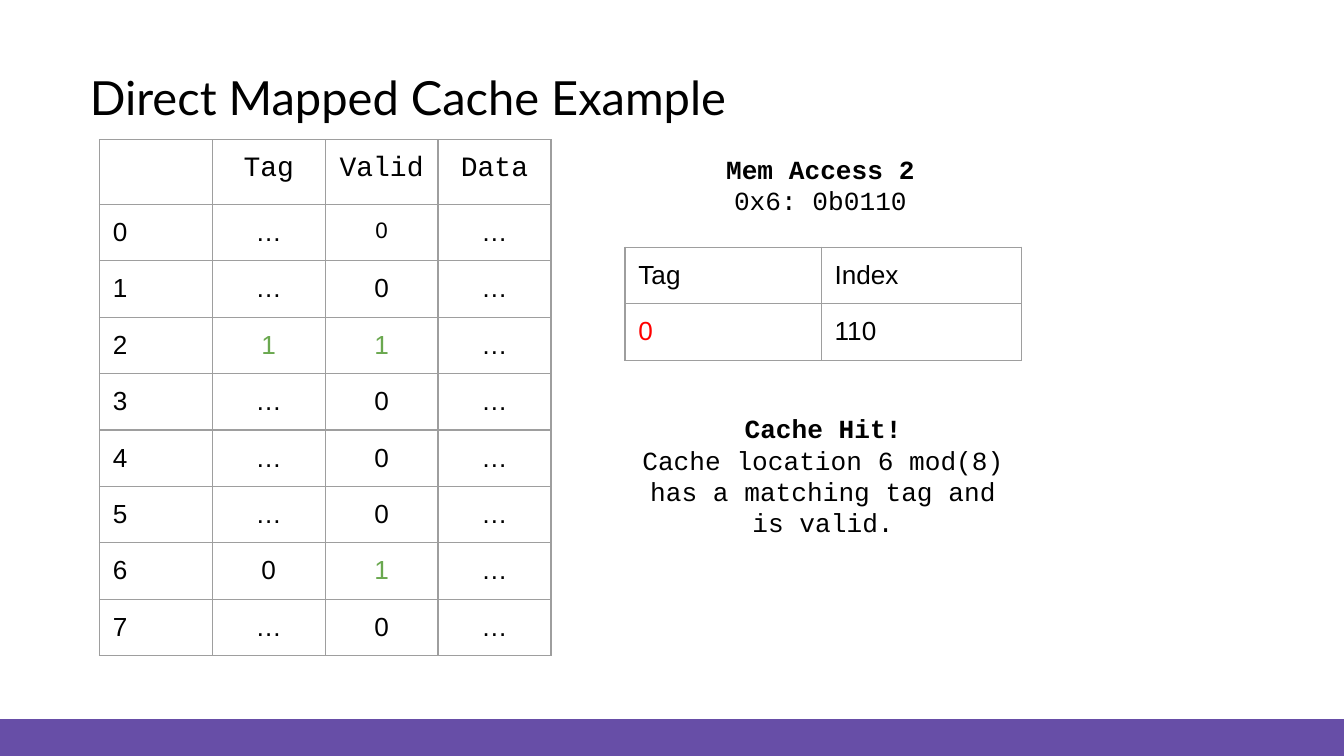
from dataclasses import dataclass

from lxml import etree
from pptx import Presentation
from pptx import util as u
from pptx.dml.color import RGBColor
from pptx.enum import shapes, text
from pptx.oxml.ns import qn


@dataclass(frozen=True)
class Theme:
    ink: str = "000000"
    hit: str = "6AA84F"
    tag: str = "FF0000"
    grid: str = "9E9E9E"
    band: str = "674EA7"
    title_font: str = "Lato"
    body_font: str = "Arial"
    code_font: str = "Courier New"
    title_size: float = 25.2
    header_size: float = 15
    body_size: float = 14
    small_size: float = 12
    inset: float = 0.1
    cell_bottom: float = 0.08
    grid_width: float = 0.75


THEME = Theme()
CENTER = text.PP_ALIGN.CENTER
LEFT = text.PP_ALIGN.LEFT


def write(para, words, font=THEME.body_font, size=THEME.body_size,
          color=THEME.ink, bold=False, align=LEFT):
    """Put formatted text in a paragraph."""
    para.alignment = align
    span = para.add_run()
    span.text = words
    span.font.name = font
    span.font.size = u.Pt(size)
    span.font.bold = bold
    span.font.color.rgb = RGBColor.from_string(color)


def add_box(page, left, top, width, height):
    box = page.shapes.add_textbox(*map(u.Inches, (left, top, width, height)))
    frame = box.text_frame
    frame.word_wrap = True
    frame.margin_left = frame.margin_right = u.Inches(THEME.inset)
    frame.margin_top = frame.margin_bottom = u.Inches(THEME.inset)
    return frame


def outline(cell):
    """Draw the four borders of a table cell."""
    props = cell._tc.get_or_add_tcPr()
    for index, side in enumerate(("lnL", "lnR", "lnT", "lnB")):
        line = etree.Element(qn(f"a:{side}"), w=str(u.Pt(THEME.grid_width)))
        fill = etree.SubElement(line, qn("a:solidFill"))
        etree.SubElement(fill, qn("a:srgbClr"), val=THEME.grid)
        props.insert(index, line)


def add_grid(page, left, top, widths, heights, rows):
    """Build a bordered table; each cell is (words, format)."""
    table = page.shapes.add_table(
        len(heights), len(widths), u.Inches(left), u.Inches(top),
        u.Inches(sum(widths)), u.Inches(sum(heights))).table
    table.first_row = table.horz_banding = False
    for column, width in zip(table.columns, widths):
        column.width = u.Inches(width)
    for line, height, row in zip(table.rows, heights, rows):
        line.height = u.Inches(height)
        for cell, (words, style) in zip(line.cells, row):
            cell.margin_left = cell.margin_right = u.Inches(THEME.inset)
            cell.margin_top = u.Inches(THEME.inset)
            cell.margin_bottom = u.Inches(THEME.cell_bottom)
            cell.fill.background()
            outline(cell)
            if words:
                write(cell.text_frame.paragraphs[0], words, **style)


def add_band(page, left, top, width, height):
    band = page.shapes.add_shape(shapes.MSO_SHAPE.RECTANGLE,
                                 *map(u.Inches, (left, top, width, height)))
    band.shadow.inherit = False
    band.fill.solid()
    band.fill.fore_color.rgb = RGBColor.from_string(THEME.band)
    band.line.fill.background()


def add_title(page, left, top, width, height):
    frame = add_box(page, left, top, width, height)
    write(frame.paragraphs[0], "Direct Mapped Cache Example",
          font=THEME.title_font, size=THEME.title_size)


def add_cache(page, left, top, width, header_height, row_height):
    """Cache contents: one row for each of the eight locations."""
    header = {"font": THEME.code_font, "size": THEME.header_size, "align": CENTER}
    plain = {"align": CENTER}
    green = {"align": CENTER, "color": THEME.hit}
    small = {"align": CENTER, "size": THEME.small_size}
    filled = {0: (("…", plain), ("0", small)),
              2: (("1", green), ("1", green)),
              6: (("0", plain), ("1", green))}
    rows = [[(name, header) for name in ("", "Tag", "Valid", "Data")]]
    for index in range(8):
        tag, valid = filled.get(index, (("…", plain), ("0", plain)))
        rows.append([(str(index), {}), tag, valid, ("…", plain)])
    add_grid(page, left, top, [width / 4] * 4,
             [header_height] + [row_height] * 8, rows)


def add_address(page, left, top, widths, row_height):
    """Address split into tag and index."""
    rows = [[("Tag", {}), ("Index", {})],
            [("0", {"color": THEME.tag}), ("110", {})]]
    add_grid(page, left, top, widths, [row_height] * 2, rows)


def add_note(page, left, top, width, height, heading, body):
    """Bold heading over plain text, centred."""
    frame = add_box(page, left, top, width, height)
    style = {"font": THEME.code_font, "align": CENTER}
    write(frame.paragraphs[0], heading, bold=True, **style)
    write(frame.add_paragraph(), body, **style)


def main():
    deck = Presentation()
    deck.slide_width = u.Inches(10)
    deck.slide_height = deck.slide_width * 9 // 16
    page = deck.slides.add_slide(deck.slide_layouts[6])

    # Frame
    add_band(page, 0, 5.35, 10, 0.28)
    add_title(page, 0.57, 0.41, 8.86, 0.63)

    # Cache on the left
    add_cache(page, 0.74, 1.04, 3.36, 0.48, 0.42)

    # Memory access on the right
    add_address(page, 4.65, 1.84, (1.46, 1.49), 0.42)
    add_note(page, 4.65, 2.97, 2.95, 0.9, "Cache Hit!",
             "Cache location 6 mod(8) has a matching tag and is valid.")
    add_note(page, 4.63, 1.04, 2.95, 0.56, "Mem Access 2", "0x6: 0b0110")

    deck.save("out.pptx")


if __name__ == "__main__":
    main()
